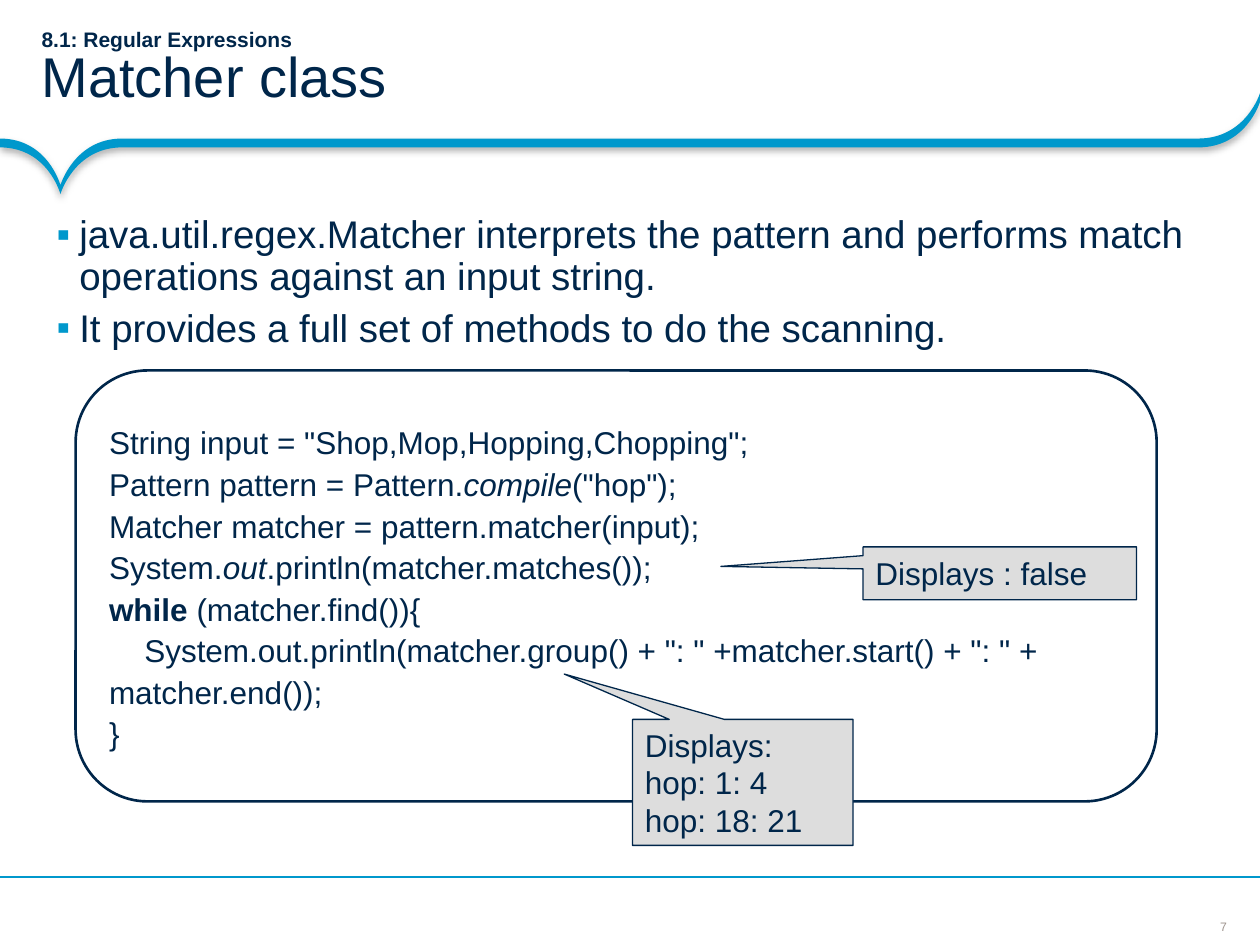
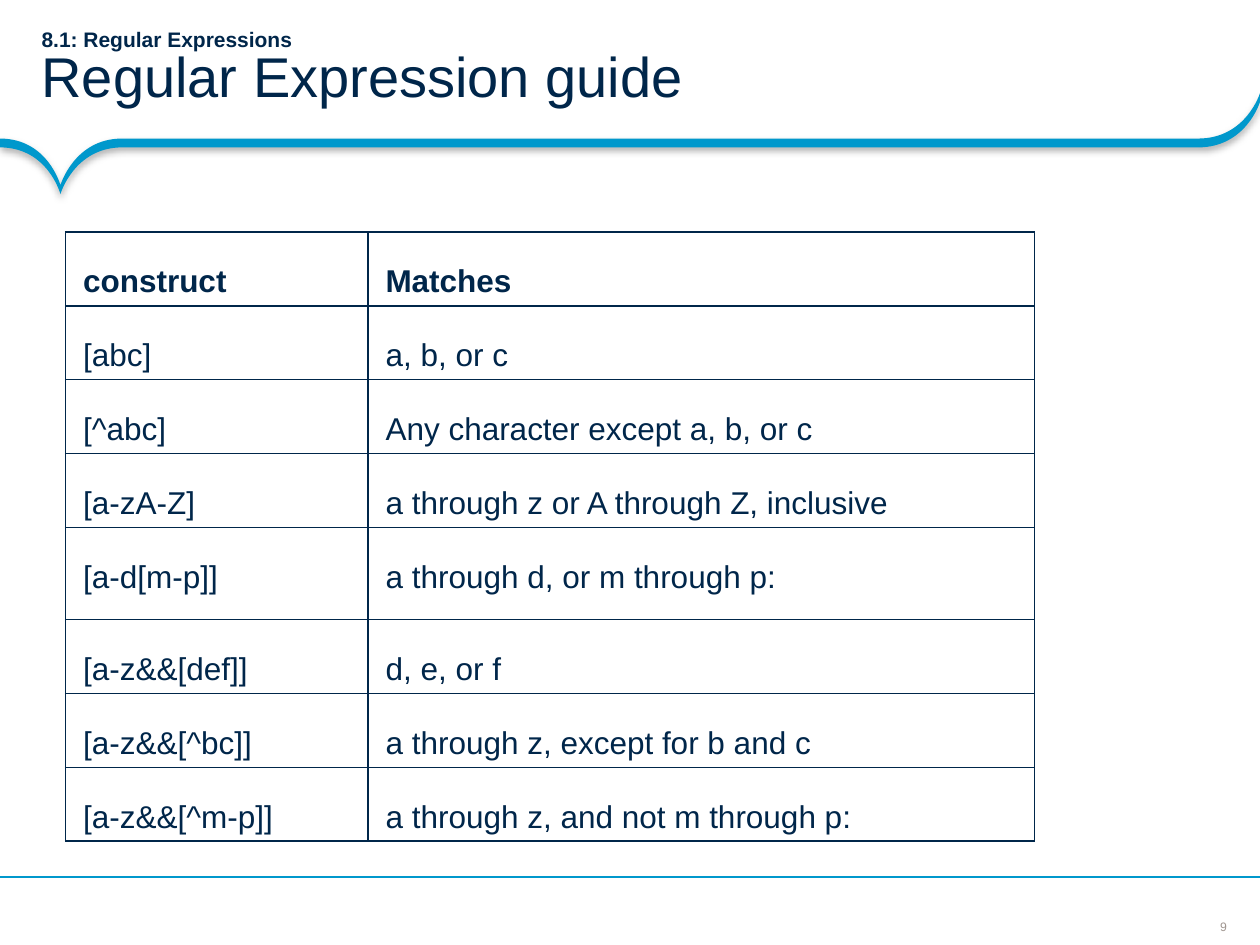
from lxml import etree
from pptx import Presentation
from pptx import util as u
from pptx.dml.color import RGBColor
from pptx.enum import shapes, text
from pptx.oxml import ns

COLORS = {"navy": "00264A", "blue": "0098CC", "grey": "DDDDDD",
          "white": "FFFFFF", "number": "9F958F", "shadow": "000000"}
FONT = "Arial"
SECTION = "8.1: Regular Expressions "
RIBBON_TOP = 0.74
RIBBON_START = (9.51, 1.1)
RIBBON_CURVES = [
    [(0.97, 1.1)] * 3,
    [(0.59, 1.1), (0.48, 1.47), (0.48, 1.47)],
    [(0.48, 1.47), (0.38, 1.1), (0, 1.1)],
    [(0, 1.17)] * 3,
    [(0.38, 1.17), (0.48, 1.54), (0.48, 1.54)],
    [(0.48, 1.54), (0.59, 1.17), (0.97, 1.17)],
    [(9.51, 1.17)] * 3,
    [(9.89, 1.17), (10, 0.81), (10, 0.81)],
    [(10, RIBBON_TOP)] * 3,
    [(10, RIBBON_TOP), (9.89, 1.1), RIBBON_START],
]


def rgb(name):
    return RGBColor.from_string(COLORS[name])


def add_xml(parent, tag, **attributes):
    return etree.SubElement(parent, ns.qn(tag), attributes)


def add_span(para, words, size=18, color="navy", bold=False, italic=False):
    span = para.add_run()
    span.text = words
    font = span.font
    font.name, font.size, font.bold, font.italic = FONT, u.Pt(size), bold, italic
    font.color.rgb = rgb(color)


class Painter:
    def __init__(self):
        self.deck = Presentation()
        self.deck.slide_width, self.deck.slide_height = u.Inches(10), u.Inches(7.5)
        self.page = None

    def start_page(self, title, number):
        self.page = self.deck.slides.add_slide(self.deck.slide_layouts[6])
        box = self.text((9.65, 7.29, 0.12, 0.12), (0, 0, 0, 0), wrap=False)
        para = box.text_frame.paragraphs[0]
        para.alignment = text.PP_ALIGN.CENTER
        add_span(para, str(number), size=7, color="number")
        self.ribbon()
        self.rule(6.96)
        box = self.text((0, 0, 10, 1.1), (0.33, 0.04, 0.18, 0.04))
        para = box.text_frame.paragraphs[0]
        para.line_spacing = 0.85
        add_span(para, SECTION, size=12, bold=True)
        para.add_line_break()
        add_span(para, title, size=32)

    def text(self, place, insets, anchor=text.MSO_ANCHOR.MIDDLE, wrap=True):
        box = self.page.shapes.add_textbox(*map(u.Inches, place))
        frame = box.text_frame
        frame.word_wrap, frame.vertical_anchor = wrap, anchor
        (frame.margin_left, frame.margin_top,
         frame.margin_right, frame.margin_bottom) = map(u.Inches, insets)
        return box

    def ribbon(self):
        builder = self.page.shapes.build_freeform(*map(u.Inches, RIBBON_START))
        builder.add_line_segments([tuple(map(u.Inches, curve[-1]))
                                   for curve in RIBBON_CURVES])
        shape = builder.convert_to_shape()
        segments = list(shape._element.spPr.iter(ns.qn("a:lnTo")))
        for segment, curve in zip(segments, RIBBON_CURVES):
            bend = etree.Element(ns.qn("a:cubicBezTo"))
            for x, y in curve:
                add_xml(bend, "a:pt", x=str(u.Inches(x)), y=str(u.Inches(y - RIBBON_TOP)))
            segment.getparent().replace(segment, bend)
        shape.fill.solid()
        shape.fill.fore_color.rgb = rgb("blue")
        shape.line.fill.background()
        effects = add_xml(shape._element.spPr, "a:effectLst")
        shadow = add_xml(effects, "a:outerShdw", blurRad=str(u.Pt(4)), dist=str(u.Pt(2)),
                         dir="5400000", algn="t", rotWithShape="0")
        tone = add_xml(shadow, "a:srgbClr", val=COLORS["shadow"])
        add_xml(tone, "a:alpha", val="31000")

    def rule(self, top):
        line = self.page.shapes.add_connector(
            shapes.MSO_CONNECTOR.STRAIGHT, u.Inches(10), u.Inches(top), 0, u.Inches(top))
        line.line.color.rgb, line.line.width = rgb("blue"), u.Pt(0.75)
        add_xml(line._element.spPr, "a:effectLst")

    def bullets(self, place, lines):
        box = self.text(place, (0.12, 0.08, 0.08, 0.08), text.MSO_ANCHOR.TOP)
        frame = box.text_frame
        for index, line in enumerate(lines):
            para = frame.add_paragraph() if index else frame.paragraphs[0]
            para.line_spacing, para.space_after = 0.9, u.Pt(6)
            props = para._p.get_or_add_pPr()
            props.set("marL", str(u.Inches(0.18)))
            props.set("indent", str(u.Inches(-0.18)))
            add_xml(add_xml(props, "a:buClr"), "a:srgbClr", val=COLORS["blue"])
            add_xml(props, "a:buFont", typeface=FONT)
            add_xml(props, "a:buChar", char="▪")
            add_span(para, line, size=22)

    def panel(self, kind, place, adjustments, lines, fill=None, width=0.75, spacing=1.0):
        shape = self.page.shapes.add_shape(kind, *map(u.Inches, place))
        shape.shadow.inherit = False
        for index, value in enumerate(adjustments):
            shape.adjustments[index] = value
        if fill:
            shape.fill.solid()
            shape.fill.fore_color.rgb = rgb(fill)
        else:
            shape.fill.background()
        shape.line.color.rgb, shape.line.width = rgb("navy"), u.Pt(width)
        frame = shape.text_frame
        frame.word_wrap, frame.vertical_anchor = True, text.MSO_ANCHOR.MIDDLE
        for index, spans in enumerate(lines):
            para = frame.add_paragraph() if index else frame.paragraphs[0]
            para.alignment, para.line_spacing = text.PP_ALIGN.LEFT, spacing
            for words, style in spans:
                add_span(para, words, **style)
        return shape

    def callout(self, place, tip, lines):
        self.panel(shapes.MSO_SHAPE.RECTANGULAR_CALLOUT, place, tip,
                   [[(line, {})] for line in lines], fill="grey")

    def table(self, place, widths, heights, rows):
        grid = self.page.shapes.add_table(len(rows), len(widths), *map(u.Inches, place)).table
        grid.first_row = grid.horz_banding = False
        for column, width in zip(grid.columns, widths):
            column.width = u.Inches(width)
        for index, (row, height, words) in enumerate(zip(grid.rows, heights, rows)):
            row.height = u.Inches(height)
            for cell, entry in zip(row.cells, words):
                self.cell(cell, entry, bold=index == 0)

    def cell(self, cell, words, bold):
        cell.margin_left = cell.margin_right = u.Inches(0.14)
        cell.margin_top = cell.margin_bottom = u.Inches(0.05)
        para = cell.text_frame.paragraphs[0]
        para.line_spacing = u.Pt(35)
        add_span(para, words, bold=bold)
        props = cell._tc.get_or_add_tcPr()
        for side in ("L", "R", "T", "B"):
            border = add_xml(props, "a:ln" + side, w=str(u.Pt(1)))
            add_xml(add_xml(border, "a:solidFill"), "a:srgbClr", val=COLORS["navy"])
        cell.fill.solid()
        cell.fill.fore_color.rgb = rgb("white")


def matcher_page(painter):
    painter.start_page("Matcher class", 7)
    painter.bullets((0.33, 1.63, 9.67, 5.08), [
        "java.util.regex.Matcher interprets the pattern and performs match "
        "operations against an input string.",
        "It provides a full set of methods to do the scanning.",
    ])
    plain, italic, bold = {}, {"italic": True}, {"bold": True}
    code = painter.panel(shapes.MSO_SHAPE.ROUNDED_RECTANGLE, (0.6, 2.94, 8.58, 3.42), [0.167], [
        [('String input = "Shop,Mop,Hopping,Chopping";', plain)],
        [("Pattern pattern = Pattern.", plain), ("compile", italic), ('("hop");', plain)],
        [("Matcher matcher = pattern.matcher(input);", plain)],
        [("System.", plain), ("out", italic), (".println(matcher.matches());", plain)],
        [("while", bold), (" (matcher.find()){", plain)],
        [('System.out.println(matcher.group() + ": " +matcher.start() + ": " + '
          'matcher.end());', plain)],
        [("}", plain)],
    ], width=1.5, spacing=1.1)
    loop_body = code.text_frame.paragraphs[5]
    loop_body._p.get_or_add_pPr().set("indent", str(u.Inches(0.28)))
    painter.callout((6.85, 4.34, 2.17, 0.42), (-1.02, -0.13), ["Displays : false"])
    painter.callout((5.02, 5.71, 1.75, 1), (-0.81, -0.86),
                    ["Displays:", "hop: 1: 4", "hop: 18: 21"])


def guide_page(painter):
    painter.start_page("Regular Expression guide", 9)
    heights = [0.52] + [0.56] * 3 + [0.73] + [0.56] * 3
    painter.table((0.52, 1.84, 7.69, 4.59), (2.4, 5.29), heights, [
        ("construct", "Matches"),
        ("[abc]", "a, b, or c"),
        ("[^abc]", "Any character except a, b, or c"),
        ("[a-zA-Z]", "a through z or A through Z, inclusive"),
        ("[a-d[m-p]]", "a through d, or m through p:"),
        ("[a-z&&[def]]", "d, e, or f"),
        ("[a-z&&[^bc]]", "a through z, except for b and c"),
        ("[a-z&&[^m-p]]", "a through z, and not m through p:"),
    ])


def main():
    painter = Painter()
    matcher_page(painter)
    guide_page(painter)
    painter.deck.save("out.pptx")


if __name__ == "__main__":
    main()
